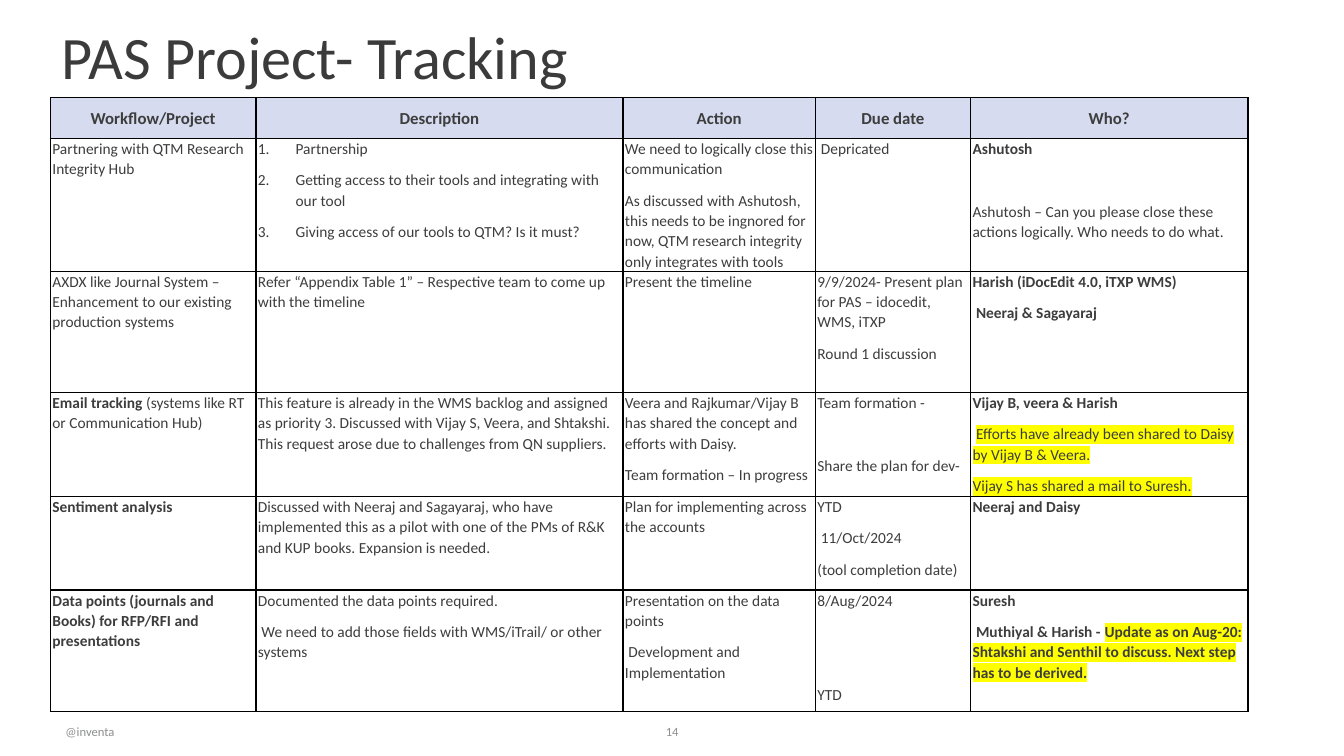
from dataclasses import dataclass

from lxml import etree
from pptx import Presentation
from pptx.dml.color import RGBColor
from pptx.enum.text import MSO_ANCHOR, MSO_AUTO_SIZE, PP_ALIGN
from pptx.oxml.ns import qn
from pptx.util import Cm, Pt

LEFT, CENTER = PP_ALIGN.LEFT, PP_ALIGN.CENTER
TOP, MIDDLE = MSO_ANCHOR.TOP, MSO_ANCHOR.MIDDLE
NO_FIT = MSO_AUTO_SIZE.NONE
TITLE_ONLY = 5

FONT = "Calibri"
TEXT, TITLE, FOOTER = "3D3D3D", "3B3B3B", "8D8E8E"
HEADER_FILL, BORDER, MARKER = "D6DBEF", "000000", "FFFF00"
SKIPPED_LINE = 22.4  # points taken by one skipped line in a cell


@dataclass(frozen=True)
class Phrase:
    text: str
    bold: bool = False
    marked: bool = False


@dataclass(frozen=True)
class Entry:
    phrases: tuple[Phrase, ...]
    skipped_lines: int = 0
    numbered: bool = False


@dataclass(frozen=True)
class Label:
    text: str
    left: float
    width: float
    align: PP_ALIGN


def plain(text: str, skipped_lines: int = 0) -> Entry:
    return Entry((Phrase(text),), skipped_lines)


def bold(text: str) -> Entry:
    return Entry((Phrase(text, bold=True),))


def numbered(text: str) -> Entry:
    return Entry((Phrase(text),), numbered=True)


# Table content
HEADERS = ["Workflow/Project", "Description", "Action", "Due date", "Who?"]
COLUMN_WIDTHS = [5.18, 9.25, 4.85, 3.91, 6.99]
ROW_HEIGHTS = [1.02, 3.35, 3.05, 2.62, 2.36, 3.07]
ROWS = [
    [
        [plain("Partnering with QTM Research Integrity Hub")],
        [numbered("Partnership"),
         numbered("Getting access to their tools and integrating with our tool"),
         numbered("Giving access of our tools to QTM? Is it must?")],
        [plain("We need to logically close this communication"),
         plain("As discussed with Ashutosh, this needs to be ingnored for now, "
               "QTM research integrity only integrates with tools")],
        [plain(" Depricated")],
        [bold("Ashutosh"),
         plain("Ashutosh – Can you please close these actions logically. "
               "Who needs to do what.", skipped_lines=1)],
    ],
    [
        [plain("AXDX like Journal System – Enhancement to our existing production systems")],
        [plain("Refer “Appendix Table 1” – Respective team to come up with the timeline")],
        [plain("Present the timeline")],
        [plain("9/9/2024- Present plan for PAS – idocedit, WMS, iTXP"),
         plain("Round 1 discussion")],
        [bold("Harish (iDocEdit 4.0, iTXP WMS)"), bold(" Neeraj & Sagayaraj")],
    ],
    [
        [Entry((Phrase("Email tracking", bold=True),
                Phrase(" (systems like RT or Communication Hub)")))],
        [plain("This feature is already in the WMS backlog and assigned as priority 3. "
               "Discussed with Vijay S, Veera, and Shtakshi. "
               "This request arose due to challenges from QN suppliers.")],
        [plain("Veera and Rajkumar/Vijay B has shared the concept and efforts with Daisy."),
         plain("Team formation – In progress")],
        [plain("Team formation -"), plain("Share the plan for dev-", skipped_lines=1)],
        [bold("Vijay B, veera & Harish"),
         Entry((Phrase(" "),
                Phrase("Efforts have already been shared to Daisy by Vijay B & Veera.",
                       marked=True))),
         Entry((Phrase("Vijay S has shared a mail to Suresh.", marked=True),))],
    ],
    [
        [bold("Sentiment analysis")],
        [plain("Discussed with Neeraj and Sagayaraj, who have implemented this as a pilot "
               "with one of the PMs of R&K and KUP books. Expansion is needed.")],
        [plain("Plan for implementing across the accounts")],
        [plain("YTD"), plain(" 11/Oct/2024"), plain("(tool completion date)")],
        [bold("Neeraj and Daisy")],
    ],
    [
        [bold("Data points (journals and Books) for RFP/RFI and presentations")],
        [plain("Documented the data points required."),
         plain(" We need to add those fields with WMS/iTrail/ or other systems")],
        [plain("Presentation on the data points"), plain(" Development and Implementation")],
        [plain("8/Aug/2024"), plain("YTD", skipped_lines=2)],
        [bold("Suresh"),
         Entry((Phrase(" Muthiyal & Harish - ", bold=True),
                Phrase("Update as on Aug-20: Shtakshi and Senthil to discuss. "
                       "Next step has to be derived.", bold=True, marked=True)))],
    ],
]
FOOTER_LABELS = [Label("@inventa", 1.4, 2.95, LEFT), Label("14", 16.33, 1.22, CENTER)]


def color(value: str) -> RGBColor:
    return RGBColor.from_string(value)


def add_color(parent, tag: str, value: str):
    element = etree.SubElement(parent, qn(tag))
    etree.SubElement(element, qn("a:srgbClr"), val=value)
    return element


def style_run(run, size: float, text_color: str, is_bold: bool = False) -> None:
    run.font.name = FONT
    run.font.size = Pt(size)
    run.font.bold = is_bold
    run.font.color.rgb = color(text_color)


def mark_run(run) -> None:
    properties = run._r.get_or_add_rPr()
    highlight = add_color(properties, "a:highlight", MARKER)
    properties.find(qn("a:latin")).addprevious(highlight)


def number_paragraph(paragraph) -> None:
    properties = paragraph._p.get_or_add_pPr()
    properties.set("marL", str(Cm(0.95)))
    properties.set("indent", str(-Cm(0.95)))
    etree.SubElement(properties, qn("a:buAutoNum"), type="arabicPeriod")


def draw_cell(cell, entries: list[Entry], size: float, align: PP_ALIGN,
              anchor: MSO_ANCHOR, fill: str | None = None) -> None:
    cell.margin_left = cell.margin_right = Cm(0.05)
    cell.margin_top = cell.margin_bottom = 0
    cell.vertical_anchor = anchor
    for side in ("a:lnL", "a:lnR", "a:lnT", "a:lnB"):
        line = etree.SubElement(cell._tc.get_or_add_tcPr(), qn(side), w=str(Pt(1)))
        add_color(line, "a:solidFill", BORDER)
    if fill:
        cell.fill.solid()
        cell.fill.fore_color.rgb = color(fill)
    else:
        cell.fill.background()
    frame = cell.text_frame
    for index, entry in enumerate(entries):
        paragraph = frame.add_paragraph() if index else frame.paragraphs[0]
        paragraph.alignment = align
        paragraph.line_spacing = 1.07
        paragraph.space_after = Pt(8)
        if entry.skipped_lines:
            paragraph.space_before = Pt(entry.skipped_lines * SKIPPED_LINE)
        if entry.numbered:
            number_paragraph(paragraph)
        for phrase in entry.phrases:
            run = paragraph.add_run()
            run.text = phrase.text
            style_run(run, size, TEXT, phrase.bold)
            if phrase.marked:
                mark_run(run)


def draw_table(slide) -> None:
    frame = slide.shapes.add_table(len(ROW_HEIGHTS), len(HEADERS), Cm(1.27), Cm(2.46),
                                   Cm(sum(COLUMN_WIDTHS)), Cm(sum(ROW_HEIGHTS)))
    table = frame.table
    table.first_row = table.horz_banding = False
    for column, width in zip(table.columns, COLUMN_WIDTHS):
        column.width = Cm(width)
    for row, height in zip(table.rows, ROW_HEIGHTS):
        row.height = Cm(height)
    for column_index, header in enumerate(HEADERS):
        draw_cell(table.cell(0, column_index), [bold(header)], 12, CENTER, MIDDLE, HEADER_FILL)
    for row_index, row_entries in enumerate(ROWS, start=1):
        for column_index, entries in enumerate(row_entries):
            draw_cell(table.cell(row_index, column_index), entries, 11, LEFT, TOP)


def draw_title(slide) -> None:
    title = slide.shapes.title
    title.left, title.top, title.width, title.height = Cm(1.3), Cm(0.71), Cm(29.21), Cm(1.6)
    frame = title.text_frame
    frame.text = "PAS Project- Tracking"
    frame.auto_size = NO_FIT
    frame.vertical_anchor = MIDDLE
    paragraph = frame.paragraphs[0]
    paragraph.alignment = LEFT
    paragraph.line_spacing = 0.9
    style_run(paragraph.runs[0], 43, TITLE)


def draw_label(slide, label: Label) -> None:
    box = slide.shapes.add_textbox(Cm(label.left), Cm(17.93), Cm(label.width), Cm(1.02))
    frame = box.text_frame
    frame.word_wrap = True
    frame.vertical_anchor = MIDDLE
    frame.text = label.text
    frame.paragraphs[0].alignment = label.align
    style_run(frame.paragraphs[0].runs[0], 9, FOOTER)


def main() -> None:
    presentation = Presentation()
    presentation.slide_width, presentation.slide_height = Cm(33.87), Cm(19.05)
    slide = presentation.slides.add_slide(presentation.slide_layouts[TITLE_ONLY])
    draw_title(slide)
    draw_table(slide)
    for label in FOOTER_LABELS:
        draw_label(slide, label)
    presentation.save("out.pptx")


if __name__ == "__main__":
    main()
